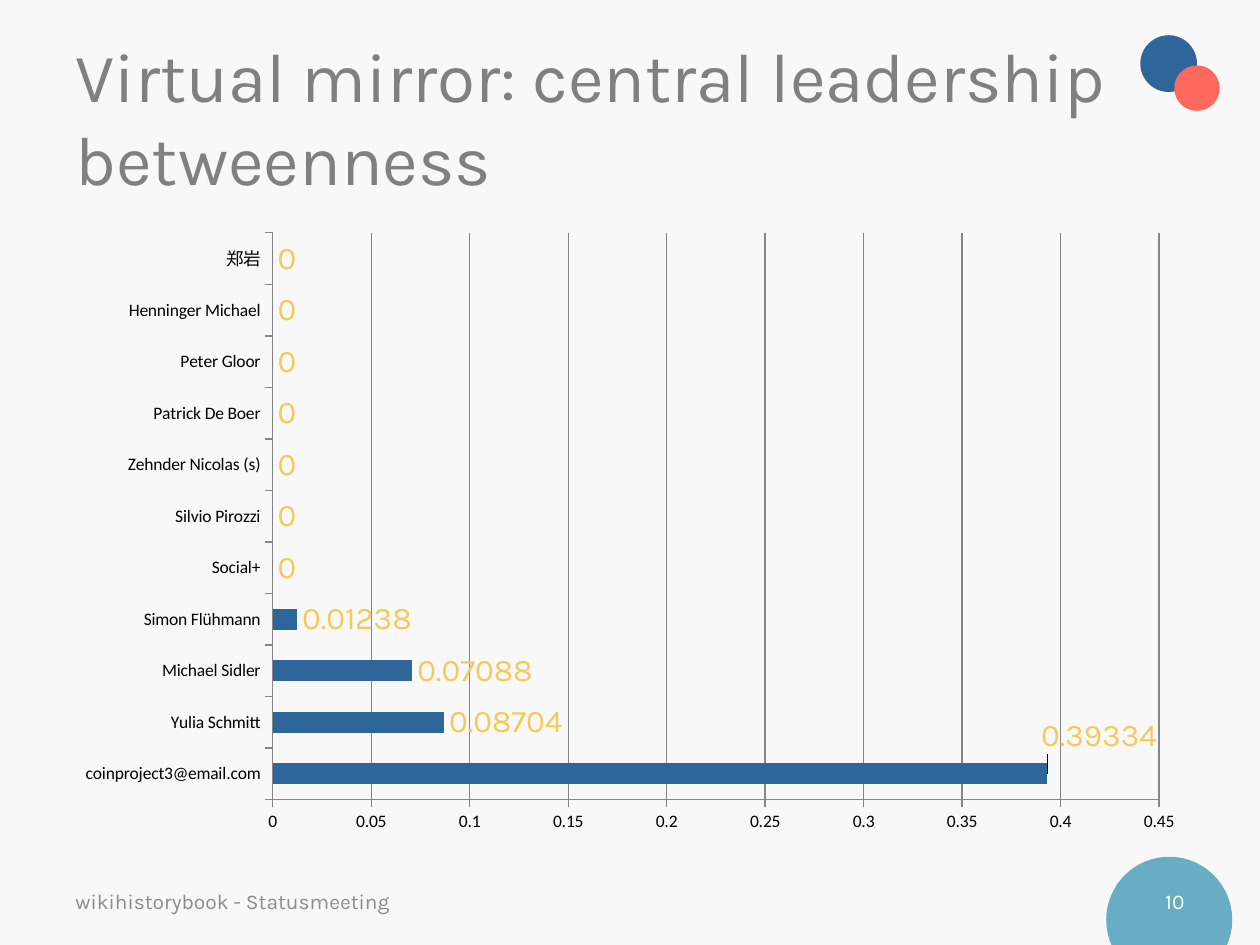
from dataclasses import dataclass

from lxml.etree import SubElement
from pptx import Presentation
from pptx.chart.data import CategoryChartData
from pptx.dml.color import RGBColor
from pptx.enum.chart import XL_CHART_TYPE, XL_LABEL_POSITION, XL_TICK_MARK
from pptx.enum.shapes import MSO_SHAPE
from pptx.enum.text import MSO_ANCHOR, PP_ALIGN
from pptx.oxml.ns import qn
from pptx.util import Inches, Pt

WIDTH, HEIGHT = 10, 7.5
MARGIN = 0.05 * WIDTH
FOOTER_TOP, FOOTER_HEIGHT = 6.95, 0.4
HEADING_FONT, AXIS_FONT = "Karla", "Calibri"
BLUE, CORAL, TEAL, YELLOW = "2E669C", "FF685C", "68ADC3", "F4CA5D"
AXIS_GREY = "868686"


@dataclass
class Circle:
    left: float
    top: float
    size: float
    color: str


@dataclass
class Label:
    text: str
    left: float
    top: float
    width: float
    height: float
    size: float
    color: str
    align: PP_ALIGN = PP_ALIGN.LEFT


CIRCLES = [
    Circle(8.78, 6.8, 1, TEAL),
    Circle(9.05, 0.28, 0.45, BLUE),
    Circle(9.32, 0.52, 0.36, CORAL),
]

LABELS = [
    Label("Virtual mirror: central leadership betweenness",
          MARGIN, 0.3, 8.42, 1.25, 39.6, "808080"),
    Label("wikihistorybook - Statusmeeting",
          MARGIN, FOOTER_TOP, 6.08, FOOTER_HEIGHT, 12, "8C8C8C"),
    Label("10", 7.17, FOOTER_TOP, 2.33, FOOTER_HEIGHT, 12, "FFFFFF", PP_ALIGN.RIGHT),
]

BETWEENNESS = {
    "coinproject3@email.com": 0.39334,
    "Yulia Schmitt": 0.08704,
    "Michael Sidler": 0.07088,
    "Simon Flühmann": 0.01238,
    "Social+": 0,
    "Silvio Pirozzi": 0,
    "Zehnder Nicolas (s)": 0,
    "Patrick De Boer": 0,
    "Peter Gloor": 0,
    "Henninger Michael": 0,
    "郑岩": 0,
}


def rgb(color: str) -> RGBColor:
    return RGBColor.from_string(color)


def style_font(font, name: str, size: float, color: str) -> None:
    font.name, font.size, font.bold = name, Pt(size), False
    font.color.rgb = rgb(color)


def style_line(line) -> None:
    line.color.rgb = rgb(AXIS_GREY)
    line.width = Pt(0.75)


def draw_circle(page, circle: Circle) -> None:
    shape = page.shapes.add_shape(
        MSO_SHAPE.OVAL, Inches(circle.left), Inches(circle.top),
        Inches(circle.size), Inches(circle.size))
    shape.shadow.inherit = False
    shape.fill.solid()
    shape.fill.fore_color.rgb = rgb(circle.color)
    shape.line.fill.background()


def draw_label(page, label: Label) -> None:
    box = page.shapes.add_textbox(
        Inches(label.left), Inches(label.top), Inches(label.width), Inches(label.height))
    frame = box.text_frame
    frame.word_wrap = True
    frame.vertical_anchor = MSO_ANCHOR.MIDDLE
    frame.text = label.text
    paragraph = frame.paragraphs[0]
    paragraph.alignment = label.align
    style_font(paragraph.runs[0].font, HEADING_FONT, label.size, label.color)


def shift_label(data_label_xml, x: float, y: float) -> None:
    """Move a data label by shares of the chart's width and height."""
    layout = SubElement(data_label_xml, qn("c:layout"))
    manual = SubElement(layout, qn("c:manualLayout"))
    for axis, share in (("x", x), ("y", y)):
        SubElement(manual, qn(f"c:{axis}")).set("val", str(share))
    data_label_xml.find(qn("c:idx")).addnext(layout)


def draw_chart(page, values: dict[str, float]) -> None:
    data = CategoryChartData()
    data.categories = list(values)
    data.add_series("Series 1", list(values.values()))
    chart = page.shapes.add_chart(
        XL_CHART_TYPE.BAR_CLUSTERED, Inches(MARGIN), Inches(1.75),
        Inches(WIDTH - 2 * MARGIN), Inches(4.95), data).chart
    chart.has_legend = chart.has_title = False
    style_font(chart.font, AXIS_FONT, 10, "000000")

    # Axes and grid
    for axis in (chart.category_axis, chart.value_axis):
        axis.major_tick_mark = XL_TICK_MARK.OUTSIDE
        axis.minor_tick_mark = XL_TICK_MARK.NONE
        style_line(axis.format.line)
    scale = chart.value_axis
    scale.minimum_scale, scale.maximum_scale, scale.major_unit = 0, 0.45, 0.05
    scale.has_major_gridlines = True
    style_line(scale.major_gridlines.format.line)

    # Bars
    plot = chart.plots[0]
    plot.gap_width = 150
    plot.vary_by_categories = False
    series = plot.series[0]
    series.format.fill.solid()
    series.format.fill.fore_color.rgb = rgb(BLUE)

    # Value labels, the longest bar's one raised above its end
    labels = series.data_labels
    labels.show_value = True
    raised = series.points[0].data_label
    for label in (labels, raised):
        style_font(label.font, HEADING_FONT, 18, YELLOW)
        label.position = XL_LABEL_POSITION.OUTSIDE_END
    shift_label(labels._element.find(qn("c:dLbl")), -0.01, -0.06)


def main() -> None:
    deck = Presentation()
    deck.slide_width, deck.slide_height = Inches(WIDTH), Inches(HEIGHT)
    page = deck.slides.add_slide(deck.slide_layouts[6])
    page.background.fill.solid()
    page.background.fill.fore_color.rgb = rgb("F8F8F8")

    for circle in CIRCLES:
        draw_circle(page, circle)
    for label in LABELS:
        draw_label(page, label)
    draw_chart(page, BETWEENNESS)
    deck.save("out.pptx")


if __name__ == "__main__":
    main()
